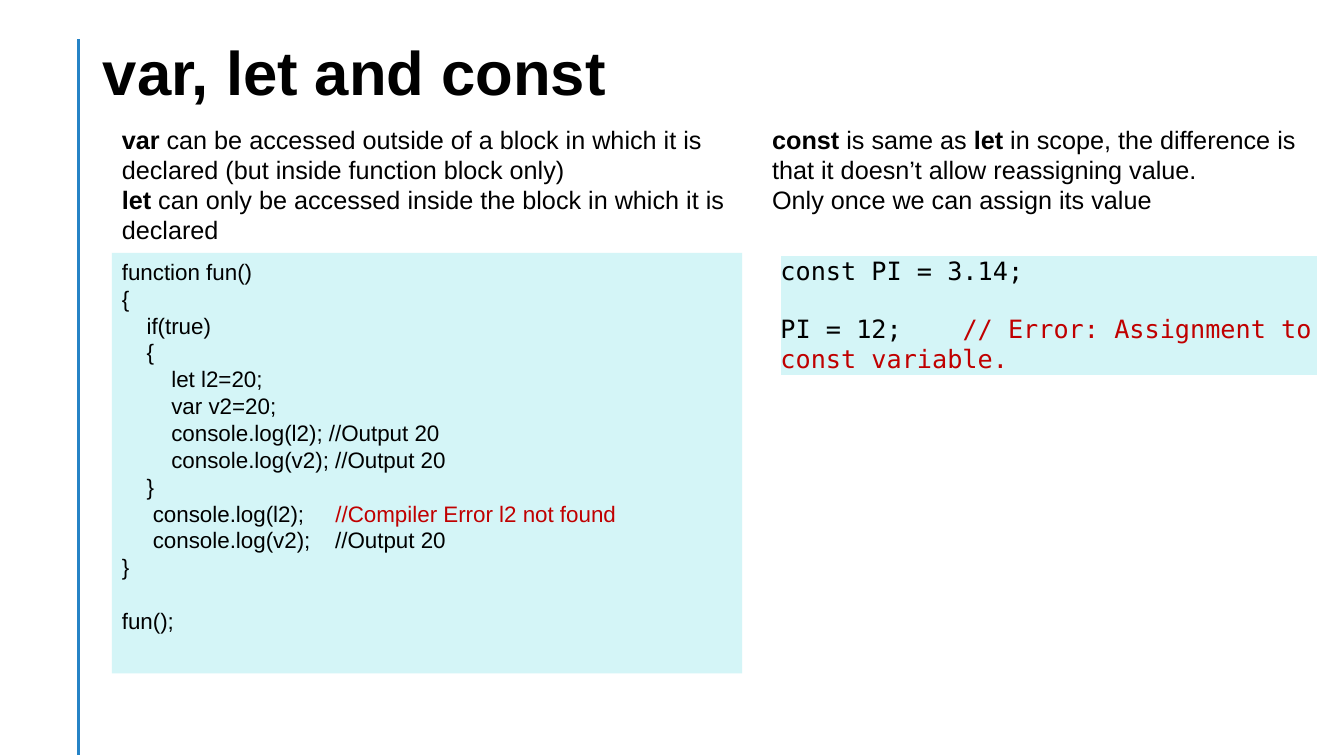
from dataclasses import dataclass

from lxml.etree import SubElement
from pptx import Presentation
from pptx.dml.color import RGBColor
from pptx.enum.shapes import MSO_CONNECTOR, MSO_SHAPE
from pptx.enum.text import MSO_ANCHOR, MSO_AUTO_SIZE, PP_ALIGN
from pptx.oxml.ns import qn
from pptx.util import Pt

EMU_PER_PX = 9144  # 100 px to the inch


@dataclass(frozen=True)
class Theme:
    ink: str = "000000"
    error: str = "C00000"
    panel: str = "D4F5F7"
    rule: str = "2683C6"
    sans: str = "Arial"
    mono: str = "DejaVu Sans Mono"
    title_size: int = 44
    body_size: int = 18
    code_size: int = 16


THEME = Theme()

VAR_AND_LET = [
    [("var", "bold"), " can be accessed outside of a block in which it is "
     "declared (but inside function block only)"],
    [("let ", "bold"), "can only be accessed inside the block in which it is declared"],
]
CONST = [
    [("const ", "bold"), "is same as ", ("let", "bold"),
     " in scope, the difference is that it doesn’t allow reassigning value."],
    ["Only once we can assign its value"],
]
SCOPE_CODE = [
    ["function fun()"],
    ["{"],
    ["    if(true)"],
    ["    {"],
    ["        let l2=20;"],
    ["        var v2=20;"],
    ["        console.log(l2); //Output 20"],
    ["        console.log(v2); //Output 20"],
    ["    }"],
    ["     console.log(l2);     ", ("//Compiler Error l2 not found", "error")],
    ["     console.log(v2);    //Output 20"],
    ["}"],
    [" "],
    ["fun();"],
]
CONST_CODE = [
    ["const PI = 3.14;"],
    [" "],
    ["PI = 12;    ", ("// Error: Assignment to const variable.", "error")],
]


def px(*lengths):
    return [length * EMU_PER_PX for length in lengths]


def write_text(frame, lines, *, size, font=THEME.sans, spacing=None):
    """Fill a frame; each line is a list of plain strings or (text, style) pairs."""
    frame.word_wrap = True
    for index, line in enumerate(lines):
        para = frame.paragraphs[0] if index == 0 else frame.add_paragraph()
        para.alignment = PP_ALIGN.LEFT
        if spacing:
            para.line_spacing = spacing
        for part in line:
            text, style = (part, None) if isinstance(part, str) else part
            span = para.add_run()
            span.text = text
            span.font.name = font
            span.font.size = Pt(size)
            span.font.bold = style == "bold"
            color = THEME.error if style == "error" else THEME.ink
            span.font.color.rgb = RGBColor.from_string(color)


def set_title(page, text, bounds):
    title = page.shapes.title
    title.left, title.top, title.width, title.height = px(*bounds)
    frame = title.text_frame
    frame.auto_size = MSO_AUTO_SIZE.NONE
    frame.vertical_anchor = MSO_ANCHOR.MIDDLE
    write_text(frame, [[(text, "bold")]], size=THEME.title_size, spacing=0.9)


def add_side_rule(page, x, top, bottom):
    rule = page.shapes.add_connector(MSO_CONNECTOR.STRAIGHT, *px(x, top, x, bottom))
    rule.line.color.rgb = RGBColor.from_string(THEME.rule)
    rule.line.width = Pt(2)
    SubElement(rule.element.spPr, qn("a:effectLst"))


def add_note(page, lines, bounds):
    box = page.shapes.add_textbox(*px(*bounds))
    write_text(box.text_frame, lines, size=THEME.body_size)


def add_code_panel(page, lines, bounds):
    panel = page.shapes.add_shape(MSO_SHAPE.RECTANGLE, *px(*bounds))
    panel.shadow.inherit = False
    panel.fill.solid()
    panel.fill.fore_color.rgb = RGBColor.from_string(THEME.panel)
    panel.line.fill.background()
    panel.text_frame.vertical_anchor = MSO_ANCHOR.TOP
    write_text(panel.text_frame, lines, size=THEME.code_size)


def add_code_table(page, lines, bounds):
    table = page.shapes.add_table(1, 1, *px(*bounds)).table
    table.first_row = table.horz_banding = False
    cell = table.cell(0, 0)
    cell.margin_left = cell.margin_right = cell.margin_top = cell.margin_bottom = 0
    cell.vertical_anchor = MSO_ANCHOR.MIDDLE
    cell.fill.solid()
    cell.fill.fore_color.rgb = RGBColor.from_string(THEME.panel)
    write_text(cell.text_frame, lines, size=THEME.body_size, font=THEME.mono)


def main():
    deck = Presentation()
    deck.slide_width, deck.slide_height = px(1333, 750)
    page = deck.slides.add_slide(deck.slide_layouts[5])

    # Heading
    add_side_rule(page, 78, 39, 749)
    set_title(page, "var, let and const", (92, 2, 1150, 145))

    # Left column: var and let
    add_code_panel(page, SCOPE_CODE, (111, 251, 625, 417))
    add_note(page, VAR_AND_LET, (111, 118, 625, 162))

    # Right column: const
    add_note(page, CONST, (756, 118, 569, 101))
    add_code_table(page, CONST_CODE, (774, 253, 533, 120))

    deck.save("out.pptx")


if __name__ == "__main__":
    main()
